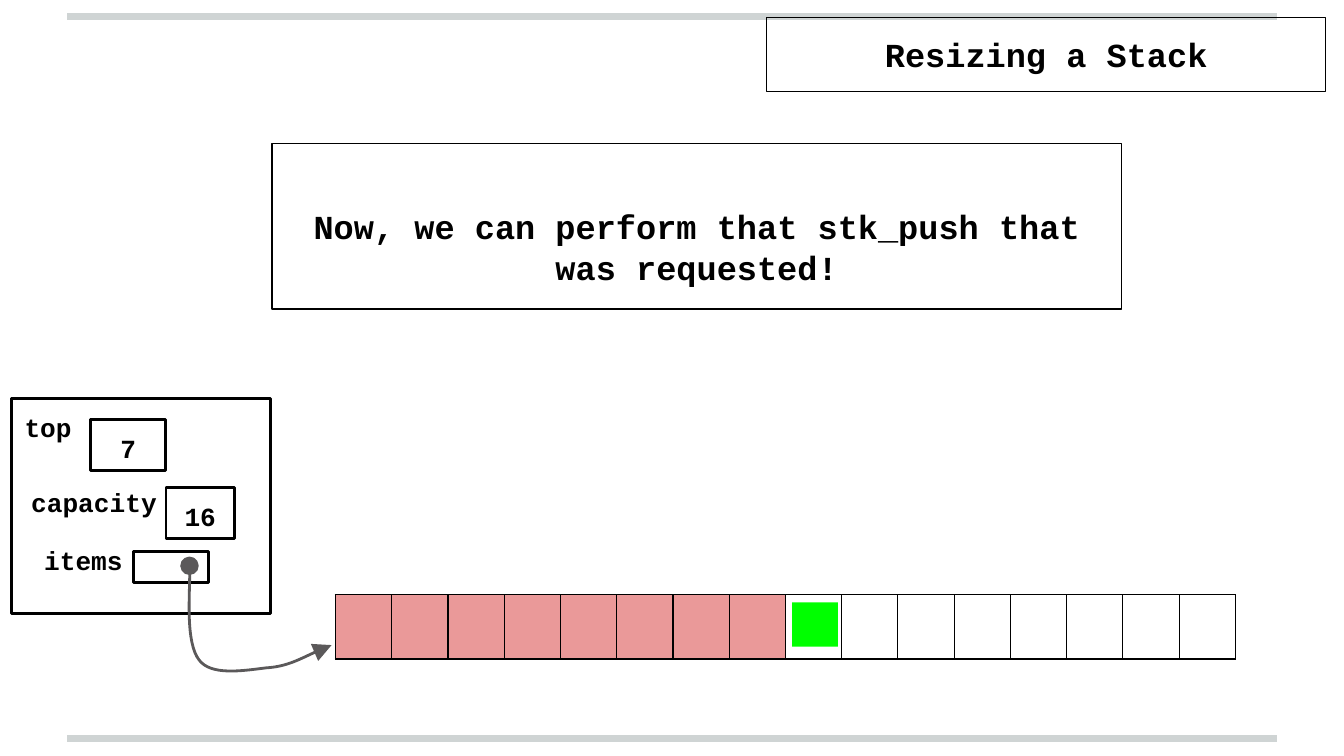
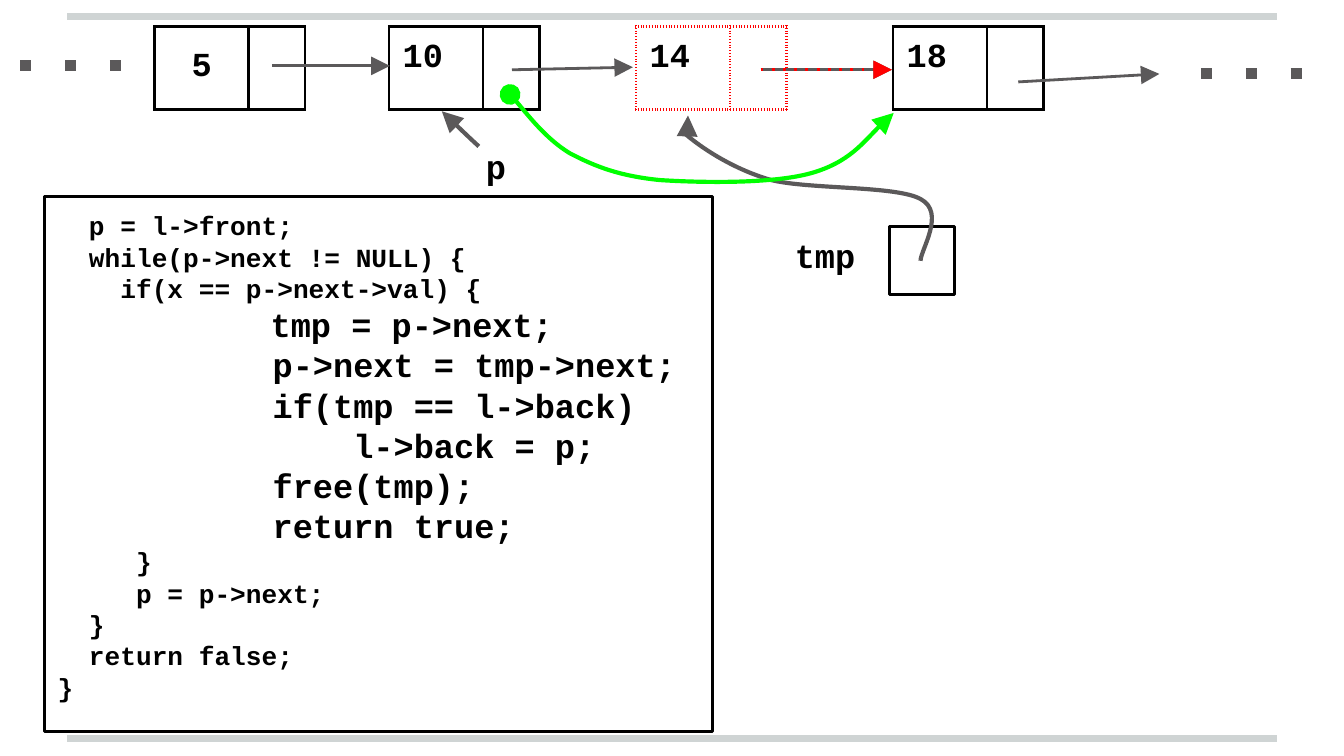
from dataclasses import dataclass
from typing import Any, Optional

from lxml.etree import SubElement
from pptx import Presentation
from pptx.dml.color import RGBColor
from pptx.enum.shapes import MSO_CONNECTOR, MSO_SHAPE
from pptx.enum.text import MSO_ANCHOR, PP_ALIGN
from pptx.oxml.ns import qn
from pptx.util import Pt

COLORS = {
    "ink": "000000",
    "rule": "CFD4D4",
    "arrow": "5B595A",
    "copied": "EA9999",
    "new": "00FF00",
    "removed": "FF0000",
}
FONT = "Courier New"
SMALL, LARGE = 14, 18
INSET = 7.2
TAB_STOP = 72
THIN, MEDIUM, THICK = 0.75, 1.5, 2.25
CELL_WIDTH = 30.14
NODE_WIDTHS = [50.4, 30.2]
NODE_TOP, NODE_HEIGHT = 14.1, 44.6

Point = tuple[float, float]


@dataclass
class Line:
    text: str
    size: int = SMALL
    indent: str = ""  # leading space set in the small size


@dataclass
class Box:
    left: float
    top: float
    width: float
    height: float
    lines: tuple[Line, ...] = ()
    border: Optional[float] = MEDIUM
    fill: Optional[str] = None
    centered: bool = False
    middle: bool = False
    top_inset: float = INSET


@dataclass
class Stroke:
    points: list[Point]
    color: str = "arrow"
    weight: float = MEDIUM
    dash: Optional[str] = None
    head: Optional[str] = None
    tail: Optional[str] = "triangle"


@dataclass
class Node:
    left: float
    value: str
    color: str = "ink"
    dash: Optional[str] = None
    centered: bool = False


def rgb(name: str) -> RGBColor:
    return RGBColor.from_string(COLORS[name])


# Text
def add_span(para: Any, text: str, size: int) -> None:
    span = para.add_run()
    span.text = text
    span.font.name = FONT
    span.font.size = Pt(size)
    span.font.bold = True
    span.font.color.rgb = rgb("ink")


def write_lines(frame: Any, lines: tuple[Line, ...], centered: bool) -> None:
    for index, line in enumerate(lines):
        para = frame.add_paragraph() if index else frame.paragraphs[0]
        para.alignment = PP_ALIGN.CENTER if centered else PP_ALIGN.LEFT
        if "\t" in line.indent + line.text:
            stops = SubElement(para._p.get_or_add_pPr(), qn("a:tabLst"))
            SubElement(stops, qn("a:tab"), pos=str(Pt(TAB_STOP)), algn="l")
        if line.indent:
            add_span(para, line.indent, SMALL)
        add_span(para, line.text, line.size)


def add_box(page: Any, box: Box) -> None:
    place = [Pt(v) for v in (box.left, box.top, box.width, box.height)]
    if box.border is None and box.fill is None:
        shape = page.shapes.add_textbox(*place)
    else:
        shape = page.shapes.add_shape(MSO_SHAPE.RECTANGLE, *place)
        shape.shadow.inherit = False
    if box.fill:
        shape.fill.solid()
        shape.fill.fore_color.rgb = rgb(box.fill)
    else:
        shape.fill.background()
    if box.border:
        shape.line.color.rgb = rgb("ink")
        shape.line.width = Pt(box.border)
    else:
        shape.line.fill.background()
    frame = shape.text_frame
    frame.word_wrap = True
    frame.margin_left = frame.margin_right = frame.margin_bottom = Pt(INSET)
    frame.margin_top = Pt(box.top_inset)
    frame.vertical_anchor = MSO_ANCHOR.MIDDLE if box.middle else MSO_ANCHOR.TOP
    write_lines(frame, box.lines, box.centered)


# Lines and arrows
def style_stroke(shape: Any, stroke: Stroke) -> None:
    shape.line.color.rgb = rgb(stroke.color)
    shape.line.width = Pt(stroke.weight)
    line = shape.line._get_or_add_ln()
    if stroke.dash:
        SubElement(line, qn("a:prstDash"), val=stroke.dash)
    for tag, kind in (("a:headEnd", stroke.head), ("a:tailEnd", stroke.tail)):
        if kind:
            SubElement(line, qn(tag), type=kind, w="lg", len="lg")


def add_line(page: Any, stroke: Stroke) -> None:
    (x1, y1), (x2, y2) = stroke.points
    line = page.shapes.add_connector(
        MSO_CONNECTOR.STRAIGHT, Pt(x1), Pt(y1), Pt(x2), Pt(y2))
    style_stroke(line, stroke)
    SubElement(line._element.spPr, qn("a:effectLst"))


def add_curve(page: Any, stroke: Stroke) -> None:
    """Draw a start point followed by triples of cubic control points."""
    start, *rest = [(Pt(x), Pt(y)) for x, y in stroke.points]
    builder = page.shapes.build_freeform(*start)
    builder.add_line_segments(rest, close=False)
    curve = builder.convert_to_shape()
    curve.shadow.inherit = False
    curve.fill.background()
    style_stroke(curve, stroke)
    segments = list(curve._element.iter(qn("a:lnTo")))
    outline = segments[0].getparent()
    for first in range(0, len(segments), 3):
        bezier = SubElement(outline, qn("a:cubicBezTo"))
        for segment in segments[first:first + 3]:
            bezier.append(segment[0])
            outline.remove(segment)


# Tables
def border_cell(cell: Any, color: str, weight: float, dash: Optional[str]) -> None:
    properties = cell._tc.get_or_add_tcPr()
    for side in ("L", "R", "T", "B"):
        line = SubElement(properties, qn(f"a:ln{side}"), w=str(Pt(weight)))
        fill = SubElement(line, qn("a:solidFill"))
        SubElement(fill, qn("a:srgbClr"), val=COLORS[color])
        SubElement(line, qn("a:prstDash"), val=dash or "solid")


def add_row(page: Any, left: float, top: float, height: float, widths: list[float],
            weight: float, color: str = "ink", dash: Optional[str] = None,
            fill: Optional[str] = None) -> Any:
    table = page.shapes.add_table(
        1, len(widths), Pt(left), Pt(top), Pt(sum(widths)), Pt(height)).table
    table.first_row = table.horz_banding = False
    for column, width in zip(table.columns, widths):
        column.width = Pt(width)
    for cell in table.iter_cells():
        border_cell(cell, color, weight, dash)
        if fill:
            cell.fill.solid()
            cell.fill.fore_color.rgb = rgb(fill)
        else:
            cell.fill.background()
    return table


def add_node(page: Any, node: Node) -> None:
    table = add_row(page, node.left, NODE_TOP, NODE_HEIGHT, NODE_WIDTHS,
                    MEDIUM, node.color, node.dash)
    cell = table.cell(0, 0)
    cell.margin_left = cell.margin_right = Pt(INSET)
    cell.margin_top = cell.margin_bottom = Pt(INSET)
    cell.vertical_anchor = MSO_ANCHOR.MIDDLE if node.centered else MSO_ANCHOR.TOP
    write_lines(cell.text_frame, (Line(node.value, LARGE),), node.centered)


def add_page(deck: Any) -> Any:
    page = deck.slides.add_slide(deck.slide_layouts[6])
    for y in (395.6, 8.8):
        add_line(page, Stroke([(36, y), (684, y)], "rule", 4, tail=None))
    return page


# Stack after resizing
STACK_BOXES = [
    Box(6.1, 213.4, 139, 115.2, (Line("top"),)),
    Box(48.6, 224.6, 40.3, 27.4, (Line("7"),), centered=True),
    Box(71.4, 295.3, 40.3, 16.6),
    Box(9.6, 253.4, 109.4, 33.1, (Line("capacity"),), border=None),
    Box(16.6, 291.6, 57.6, 16.6, (Line("items"),), border=None, middle=True),
    Box(88.9, 261.1, 36.7, 27.4, (Line("16"),), centered=True),
    Box(410.7, 9.4, 299.5, 39.6, (Line("Resizing a Stack", LARGE),), THIN,
        centered=True, middle=True),
    Box(145.7, 77, 455, 88.6,
        (Line("Now, we can perform that stk_push that was requested!", LARGE),), THIN,
        centered=True, middle=True, top_inset=28.7),
]
PUSHED_ITEM = Box(424.4, 322.7, 24.5, 23.8, border=None, fill="new")
ITEMS_POINTER = Stroke([
    (101.5, 303.1), (102.2, 311.8), (99.4, 344.2), (106.6, 353.5),
    (113, 362.2), (130.3, 359.3), (142.6, 357.8),
    (154.1, 357.1), (171.4, 347.8), (177.6, 345.6)], head="oval")


def build_stack_page(deck: Any) -> None:
    page = add_page(deck)
    for box in STACK_BOXES:
        add_box(page, box)
    for count, fill in ((16, None), (8, "copied")):
        add_row(page, 179.7, 318.7, 34.3, [CELL_WIDTH] * count, THIN, fill=fill)
    add_curve(page, ITEMS_POINTER)
    add_box(page, PUSHED_ITEM)


# Removal from a linked list
CODE = (
    Line("  p = l->front;"),
    Line("  while(p->next != NULL) {"),
    Line("    if(x == p->next->val) {"),
    Line("tmp = p->next;", LARGE, indent="\t     "),
    Line("\t    p->next = tmp->next;", LARGE),
    Line("\t    if(tmp == l->back)", LARGE),
    Line("\t        l->back = p;", LARGE),
    Line("\t    free(tmp);", LARGE),
    Line("\t    return true;", LARGE),
    Line("     }"),
    Line("     p = p->next;"),
    Line("  }"),
    Line("  return false;"),
    Line("}"),
)
LIST_BOXES = [
    Box(23.8, 105.1, 357.8, 286.6, CODE),
    Box(245.6, 70.9, 40.3, 36.7, (Line("p", LARGE),), border=None, centered=True),
    Box(418.7, 118.8, 56.9, 36.7, (Line("tmp", LARGE),), border=None),
    Box(476.6, 121.2, 34.6, 36.7),
]
NODES = [
    Node(82.8, "5", centered=True),
    Node(208.5, "10"),
    Node(478.5, "18"),
    Node(340.8, "14", "removed", "dot"),
]
REMOVED_LINK = [(407.5, 37.4), (477.8, 37.4)]
LINKS = [
    Stroke([(145.7, 35.3), (208.8, 35.3)]),
    Stroke([(274.3, 37.4), (339.1, 36)]),
    Stroke(REMOVED_LINK),
    Stroke([(545.5, 43.9), (621.1, 39.6)]),
    Stroke([(643.4, 39.4), (699.8, 39.4)], weight=6, dash="dot", tail=None),
    Stroke([(10.8, 35.3), (67.7, 35.3)], weight=6, dash="dot", tail=None),
    Stroke(REMOVED_LINK, "removed", dash="dot"),
]
POINTERS = [
    Stroke([(256.5, 78.4), (253.4, 75.6), (239.8, 62.6), (236.7, 59.6)], weight=THICK),
    Stroke([
        (493.2, 139.7), (493.2, 133.9), (506.9, 113.8), (493.2, 106.6),
        (480.2, 99.4), (434.2, 101.5), (413.3, 96.5),
        (393.1, 90.7), (377.3, 79.9), (370.1, 74.2),
        (362.9, 68.4), (369.4, 64.1), (368.6, 61.9)], weight=THICK),
    Stroke([
        (273.3, 50.6), (278.6, 56.2), (292.3, 74.2), (305.3, 82.1),
        (319, 89.3), (331.9, 94.3), (353.5, 96.5),
        (375.1, 97.9), (413.3, 98.6), (434.2, 92.9),
        (455, 87.1), (471.6, 66.2), (478.8, 60.5)], "new", THICK, head="oval"),
]


def build_list_page(deck: Any) -> None:
    page = add_page(deck)
    for box in LIST_BOXES:
        add_box(page, box)
    for node in NODES:
        add_node(page, node)
    for link in LINKS:
        add_line(page, link)
    for pointer in POINTERS:
        add_curve(page, pointer)


def main() -> None:
    deck = Presentation()
    deck.slide_width, deck.slide_height = Pt(720), Pt(405)
    build_stack_page(deck)
    build_list_page(deck)
    deck.save("out.pptx")


if __name__ == "__main__":
    main()
